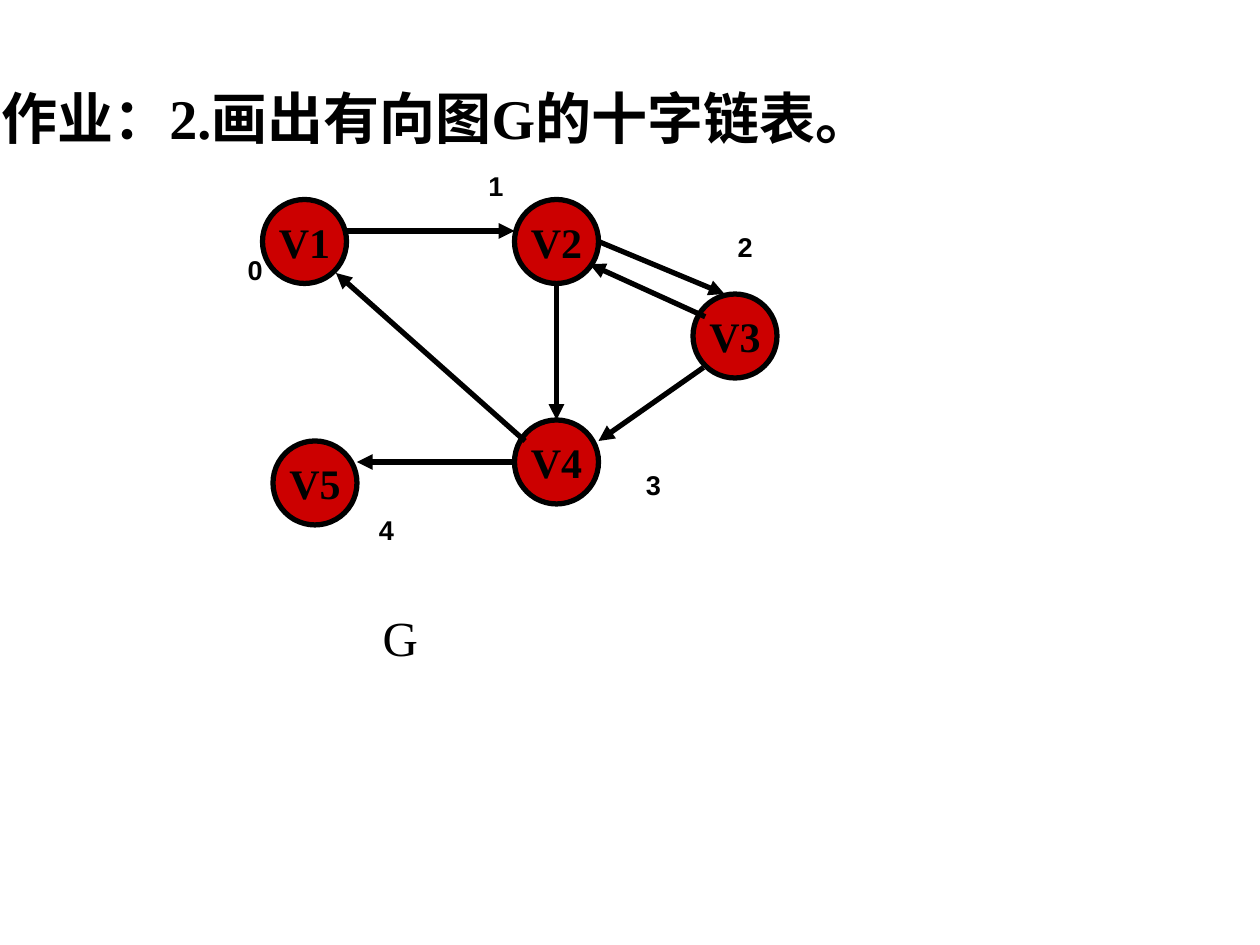
from lxml import etree
from pptx import Presentation
from pptx.dml.color import RGBColor
from pptx.enum.shapes import MSO_CONNECTOR, MSO_SHAPE
from pptx.enum.text import MSO_ANCHOR, MSO_AUTO_SIZE, PP_ALIGN
from pptx.oxml.ns import qn
from pptx.util import Pt

STRAIGHT = MSO_CONNECTOR.STRAIGHT
OVAL = MSO_SHAPE.OVAL
MIDDLE = MSO_ANCHOR.MIDDLE
GROW = MSO_AUTO_SIZE.SHAPE_TO_FIT_TEXT
LEFT, CENTER = PP_ALIGN.LEFT, PP_ALIGN.CENTER

SERIF, SANS = "Times New Roman", "Arial"
BLACK, RED = "000000", "CC0000"
NODE_SIZE = 48
LINE_WIDTH = 3


def color(value):
    return RGBColor.from_string(value)


def write(box, text, size, font=SERIF, bold=True, align=LEFT, wrap=False):
    frame = box.text_frame
    frame.word_wrap = wrap
    para = frame.paragraphs[0]
    para.alignment = align
    span = para.add_run()
    span.text = text
    span.font.name = font
    span.font.size = Pt(size)
    span.font.bold = bold
    span.font.color.rgb = color(BLACK)


deck = Presentation()
deck.slide_width, deck.slide_height = Pt(720), Pt(540)
page = deck.slides.add_slide(deck.slide_layouts[6])

title = page.shapes.add_textbox(Pt(-6.5), Pt(44), Pt(542), Pt(46))
write(title, "作业：2.画出有向图G的十字链表。", 32)
title.text_frame.auto_size = GROW

# Vertices: name, left, top
vertices = [
    ("V1", 150, 114),
    ("V2", 294, 114),
    ("V3", 396, 168),
    ("V4", 294, 240),
    ("V5", 156, 252),
]
for name, left, top in vertices:
    vertex = page.shapes.add_shape(OVAL, Pt(left), Pt(top), Pt(NODE_SIZE), Pt(NODE_SIZE))
    vertex.shadow.inherit = False
    vertex.fill.solid()
    vertex.fill.fore_color.rgb = color(RED)
    vertex.line.color.rgb = color(BLACK)
    vertex.line.width = Pt(LINE_WIDTH)
    write(vertex, name, 24, align=CENTER)
    vertex.text_frame.vertical_anchor = MIDDLE

# Directed edges: start x, start y, end x, end y
edges = [
    (198, 132, 294, 132),  # V1 to V2
    (318, 162, 318, 240),  # V2 to V4
    (294, 264, 204, 264),  # V4 to V5
    (300, 252, 192, 156),  # V4 to V1
    (403, 181, 337, 151),  # V3 to V2
    (402, 210, 342, 252),  # V3 to V4
    (342, 138, 414, 168),  # V2 to V3
]
for ends in edges:
    edge = page.shapes.add_connector(STRAIGHT, *map(Pt, ends))
    edge.line.color.rgb = color(BLACK)
    edge.line.width = Pt(LINE_WIDTH)
    properties = edge.line._get_or_add_ln()
    etree.SubElement(properties, qn("a:tailEnd"), type="triangle")
    etree.SubElement(edge._element.spPr, qn("a:effectLst"))

caption = page.shapes.add_textbox(Pt(211.5), Pt(343.5), Pt(34.5), Pt(41))
write(caption, "G", 28, bold=False)
caption.text_frame.auto_size = GROW

# Vertex indices in order: left, top
index_places = [(134.5, 141), (272, 93.5), (414.5, 128), (362, 264), (209.5, 290)]
for index, (left, top) in enumerate(index_places):
    label = page.shapes.add_textbox(Pt(left), Pt(top), Pt(22), Pt(27))
    write(label, str(index), 15.5, font=SANS, align=CENTER, wrap=True)

deck.save("out.pptx")
